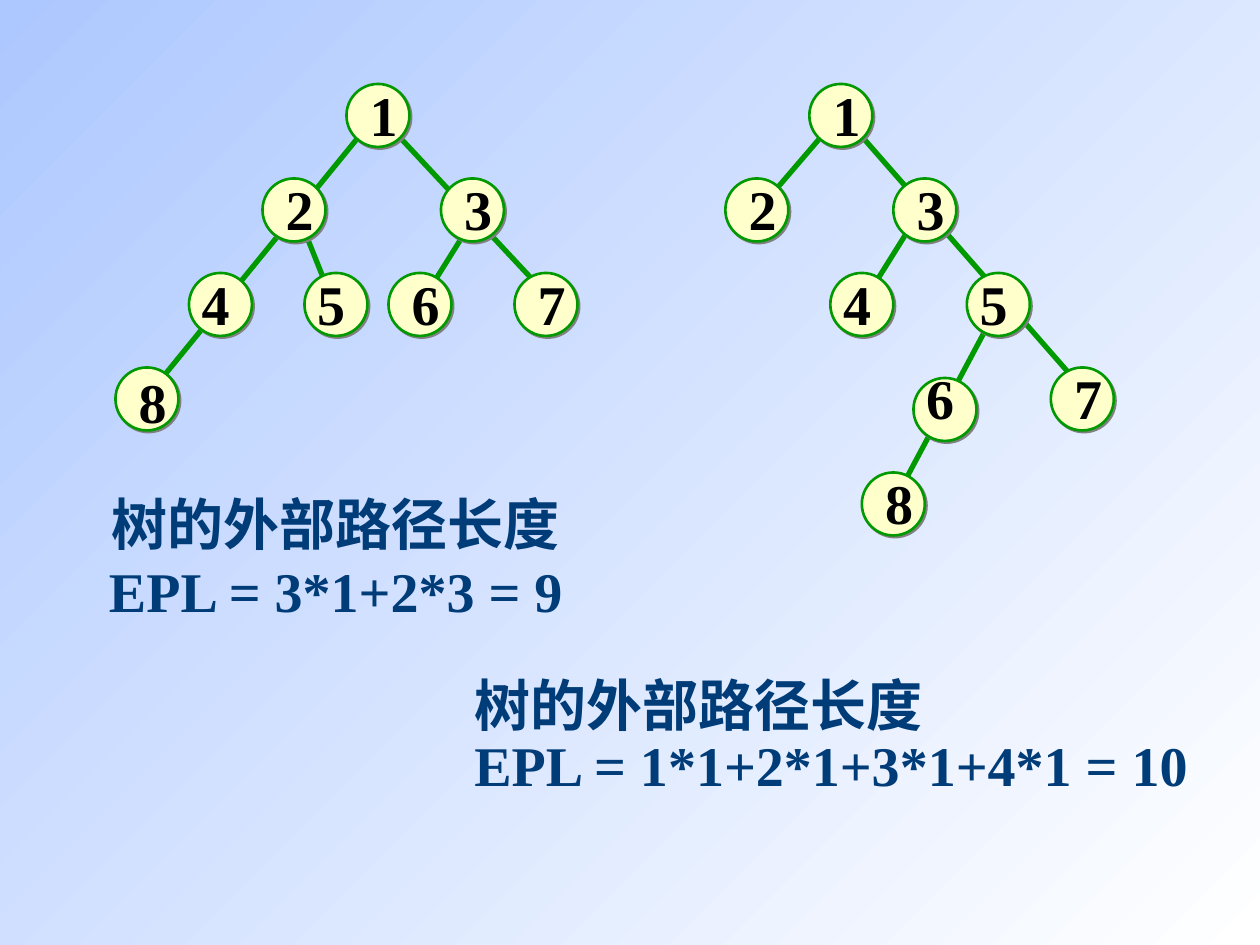
from lxml.etree import SubElement
from pptx import Presentation
from pptx.dml.color import RGBColor
from pptx.enum.shapes import MSO_CONNECTOR, MSO_SHAPE
from pptx.enum.text import MSO_ANCHOR, MSO_AUTO_SIZE, PP_ALIGN
from pptx.oxml.ns import qn
from pptx.util import Pt

WHITE = RGBColor(0xFF, 0xFF, 0xFF)
SKY = RGBColor(0xAD, 0xC8, 0xFF)
GREEN = RGBColor(0x00, 0x99, 0x00)
CREAM = RGBColor(0xFF, 0xFF, 0xCC)
GRAY = RGBColor(0x80, 0x80, 0x80)
BLACK = RGBColor(0x00, 0x00, 0x00)
NAVY = RGBColor(0x00, 0x3C, 0x78)

# Edges: x1, y1, x2, y2. Nodes: left, top, label shift x, label shift y.
LEFT_EDGES = [(270, 126, 240, 174), (174, 132, 186, 162),
              (228, 78, 312, 168), (210, 72, 78, 234)]
LEFT_NODES = [(198, 48, 0, -6), (150, 102, 0, -6), (252, 102, 0, -6),
              (108, 156, -6, -6), (174, 156, -6, -6), (222, 156, 0, -6),
              (294, 156, 0, -6), (66, 210, 0, -4)]
RIGHT_EDGES = [(522.5, 126, 492.5, 174), (564.5, 186, 516.5, 276),
               (492.5, 78, 618.5, 222), (474.5, 72, 438.5, 114)]
RIGHT_NODES = [(462.5, 48, 0, -6), (414.5, 102, 0, -6), (510.5, 102, 0, -6),
               (474.5, 156, -6, -6), (552.5, 156, -6, -6),
               (522, 216, -6, -12), (600.5, 210, 0, -6), (492.5, 270, 0, -6)]


class TreeSlide:
    font_name = "Times New Roman"
    font_size = 32
    node_size = 36
    label_size = (42.5, 46)

    def __init__(self, slide):
        self.slide = slide

    def background(self, start, end, angle):
        fill = self.slide.background.fill
        fill.gradient()
        fill.gradient_angle = angle
        for stop, color in zip(fill.gradient_stops, (start, end)):
            stop.color.rgb = color

    def edge(self, *ends):
        connector = self.slide.shapes.add_connector(
            MSO_CONNECTOR.STRAIGHT, *map(Pt, ends))
        connector.line.color.rgb = GREEN
        connector.line.width = Pt(3)
        SubElement(connector._element.spPr, qn("a:effectLst"))

    def circle(self, left, top):
        shape = self.slide.shapes.add_shape(
            MSO_SHAPE.OVAL, Pt(left), Pt(top),
            Pt(self.node_size), Pt(self.node_size))
        shape.fill.solid()
        shape.fill.fore_color.rgb = CREAM
        shape.line.color.rgb = GREEN
        shape.line.width = Pt(1.5)
        # Hard gray shadow to the lower right
        shape.shadow.inherit = False
        effects = shape._element.spPr.find(qn("a:effectLst"))
        shadow = SubElement(effects, qn("a:outerShdw"), blurRad="0",
                            dist=str(Pt(1.4)), dir="2700000",
                            algn="ctr", rotWithShape="0")
        SubElement(shadow, qn("a:srgbClr"), val=str(GRAY))

    def text(self, lines, left, top, width, height, color,
             align=PP_ALIGN.CENTER, spacing=None, wrap=True):
        box = self.slide.shapes.add_textbox(
            Pt(left), Pt(top), Pt(width), Pt(height))
        frame = box.text_frame
        frame.word_wrap = wrap
        frame.auto_size = MSO_AUTO_SIZE.SHAPE_TO_FIT_TEXT
        frame.vertical_anchor = MSO_ANCHOR.MIDDLE
        frame.text = "\n".join(lines)
        for paragraph in frame.paragraphs:
            paragraph.alignment = align
            paragraph.line_spacing = spacing
            paragraph.font.name = self.font_name
            paragraph.font.size = Pt(self.font_size)
            paragraph.font.bold = True
            paragraph.font.color.rgb = color

    def tree(self, edges, nodes):
        for ends in edges:
            self.edge(*ends)
        for left, top, _, _ in nodes:
            self.circle(left, top)
        for number, (left, top, shift_x, shift_y) in enumerate(nodes, 1):
            self.text([str(number)], left + shift_x, top + shift_y,
                      *self.label_size, BLACK)


def main():
    presentation = Presentation()
    presentation.slide_width = Pt(720)
    presentation.slide_height = Pt(540)
    blank_layout = presentation.slide_layouts[6]
    page = TreeSlide(presentation.slides.add_slide(blank_layout))
    page.background(WHITE, SKY, 135)

    # Two binary trees
    page.tree(LEFT_EDGES, LEFT_NODES)
    page.tree(RIGHT_EDGES, RIGHT_NODES)

    # External path lengths
    heading = "树的外部路径长度"
    page.text([heading, "EPL = 3*1+2*3 = 9"], 54, 276, 276, 84, NAVY,
              wrap=False)
    page.text([heading, "EPL = 1*1+2*1+3*1+4*1 = 10"], 264, 384, 424, 76,
              NAVY, align=PP_ALIGN.LEFT, spacing=0.9, wrap=False)

    presentation.save("out.pptx")


if __name__ == "__main__":
    main()
